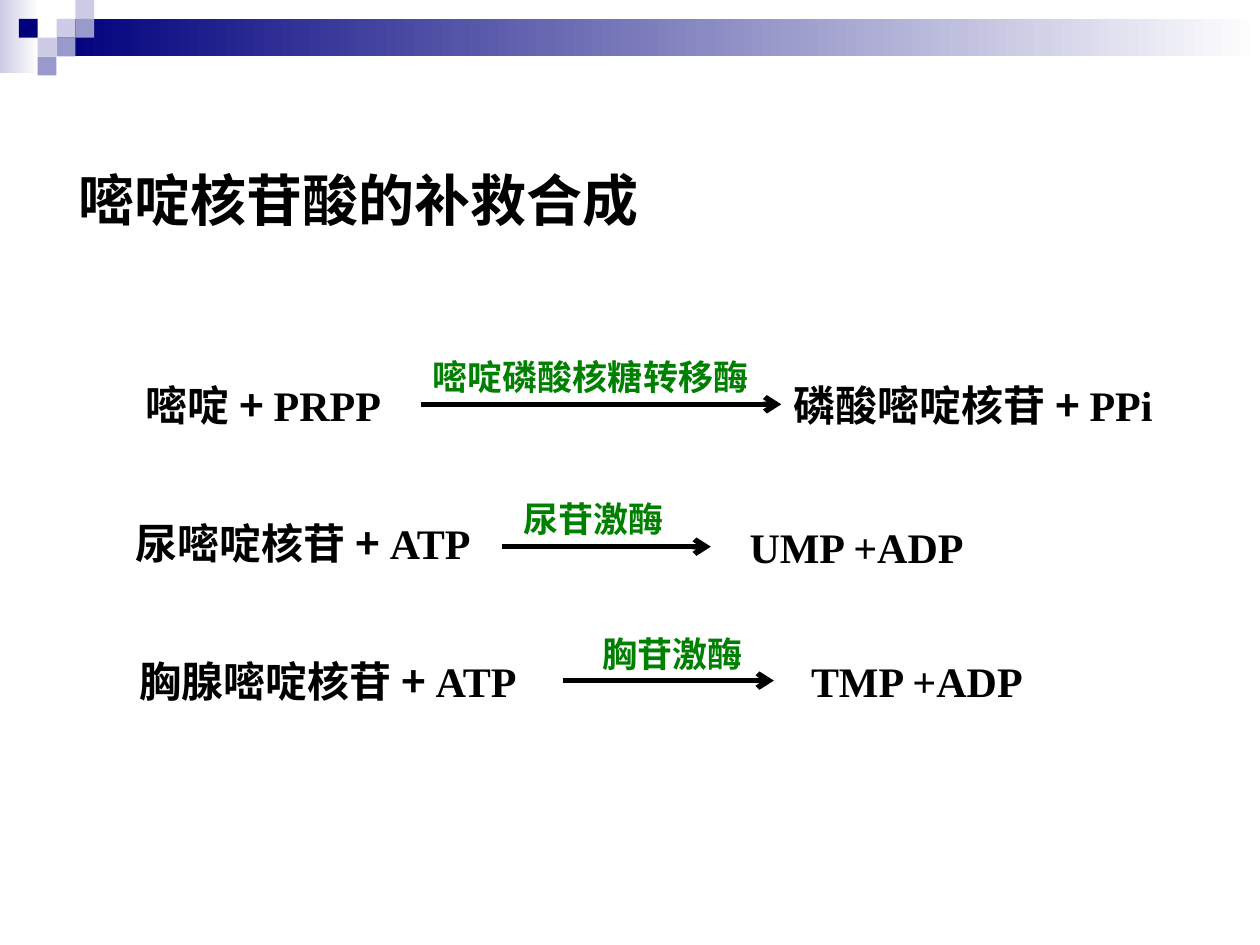
from dataclasses import dataclass

import lxml.etree
import pptx
import pptx.dml.color
import pptx.enum.shapes
import pptx.enum.text
import pptx.oxml.ns
import pptx.util

Cm = pptx.util.Cm
RGB = pptx.dml.color.RGBColor.from_string
ALIGN = pptx.enum.text.PP_ALIGN
ANCHOR = pptx.enum.text.MSO_ANCHOR
AUTO = pptx.enum.text.MSO_AUTO_SIZE
qn = pptx.oxml.ns.qn


@dataclass(frozen=True)
class Theme:
    ink: str = "000000"
    enzyme: str = "008000"
    navy: str = "00007D"
    mid: str = "9999CC"
    pale: str = "CCCCE6"
    white: str = "FFFFFF"
    title_size: int = 32
    formula_size: int = 24
    enzyme_size: int = 20
    arrow_width: int = 3
    sans: str = "Arial"
    cjk: str = "Noto Sans CJK SC"
    serif: str = "Times New Roman"


@dataclass(frozen=True)
class Label:
    left: float
    top: float
    width: float
    chinese: str = ""
    latin: str = ""


@dataclass(frozen=True)
class Reaction:
    substrate: Label
    product: Label
    enzyme: Label
    arrow_from: float
    arrow_to: float
    arrow_y: float
    enzyme_align: ALIGN = ALIGN.LEFT


@dataclass(frozen=True)
class Tile:
    column: int
    row: int
    color: str


THEME = Theme()
TILE = 0.38
TILES = (
    Tile(3, 1, THEME.pale),
    Tile(4, 0, THEME.pale),
    Tile(4, 1, THEME.mid),
    Tile(2, 2, THEME.pale),
    Tile(1, 1, THEME.navy),
    Tile(3, 2, THEME.mid),
    Tile(2, 3, THEME.mid),
)
REACTIONS = (
    Reaction(
        Label(2.69, 7.52, 7.26, "嘧啶 + ", "PRPP"),
        Label(15.75, 7.52, 8.15, "磷酸嘧啶核苷 + ", "PPi"),
        Label(7.65, 7.04, 8.51, "嘧啶磷酸核糖转移酶"),
        8.48, 15.75, 8.15, ALIGN.CENTER,
    ),
    Reaction(
        Label(2.49, 10.31, 8.61, "尿嘧啶核苷 + ", "ATP"),
        Label(14.86, 10.39, 6.25, latin="UMP +ADP"),
        Label(10.31, 9.91, 4.01, "尿苷激酶"),
        10.11, 14.33, 11.02,
    ),
    Reaction(
        Label(2.57, 13.08, 9.32, "胸腺嘧啶核苷 + ", "ATP"),
        Label(16.1, 13.08, 5.82, latin="TMP +ADP"),
        Label(11.89, 12.62, 4.65, "胸苷激酶"),
        11.35, 15.6, 13.72,
    ),
)


def add_text(p, text: str, *, size: int, font: str, color: str = THEME.ink) -> None:
    r = p.add_run()
    r.text = text
    r.font.size = pptx.util.Pt(size)
    r.font.bold = True
    r.font.name = font
    r.font.color.rgb = RGB(color)
    ea = lxml.etree.SubElement(r.font._element, qn("a:ea"))
    ea.set("typeface", THEME.cjk)


def add_label(s, label: Label, *, size: int, height: float,
              color: str = THEME.ink, align: ALIGN = ALIGN.LEFT) -> None:
    sp = s.shapes.add_textbox(Cm(label.left), Cm(label.top), Cm(label.width), Cm(height))
    tf = sp.text_frame
    tf.word_wrap = True
    tf.auto_size = AUTO.SHAPE_TO_FIT_TEXT
    p = tf.paragraphs[0]
    p.alignment = align
    for text, font in ((label.chinese, THEME.cjk), (label.latin, THEME.serif)):
        if text:
            add_text(p, text, size=size, font=font, color=color)


def add_block(s, left: float, top: float, width: float, height: float, *colors: str) -> None:
    sp = s.shapes.add_shape(pptx.enum.shapes.MSO_SHAPE.RECTANGLE,
                            Cm(left), Cm(top), Cm(width), Cm(height))
    sp.shadow.inherit = False
    sp.line.fill.background()
    if len(colors) == 1:
        sp.fill.solid()
        sp.fill.fore_color.rgb = RGB(colors[0])
        return
    sp.fill.gradient()
    sp.fill.gradient_angle = 0
    for stop, color in zip(sp.fill.gradient_stops, colors):
        stop.color.rgb = RGB(color)


def add_arrow(s, start: float, end: float, y: float) -> None:
    sp = s.shapes.add_connector(pptx.enum.shapes.MSO_CONNECTOR.STRAIGHT,
                                Cm(start), Cm(y), Cm(end), Cm(y))
    sp.line.width = pptx.util.Pt(THEME.arrow_width)
    sp.line.color.rgb = RGB(THEME.ink)
    ln = sp.line._get_or_add_ln()
    lxml.etree.SubElement(ln, qn("a:tailEnd")).set("type", "arrow")
    lxml.etree.SubElement(sp._element.spPr, qn("a:effectLst"))


def add_reaction(s, reaction: Reaction) -> None:
    for label in (reaction.substrate, reaction.product):
        add_label(s, label, size=THEME.formula_size, height=1.27)
    add_arrow(s, reaction.arrow_from, reaction.arrow_to, reaction.arrow_y)
    add_label(s, reaction.enzyme, size=THEME.enzyme_size, height=1.12,
              color=THEME.enzyme, align=reaction.enzyme_align)


def add_title(s, text: str) -> None:
    sp = s.shapes.title
    sp.left, sp.top, sp.width, sp.height = Cm(1.32), Cm(3.12), Cm(18.42), Cm(1.8)
    tf = sp.text_frame
    tf.auto_size = AUTO.NONE
    tf.vertical_anchor = ANCHOR.MIDDLE
    p = tf.paragraphs[0]
    p.alignment = ALIGN.LEFT
    add_text(p, text, size=THEME.title_size, font=THEME.sans)


def add_header(s) -> None:
    add_block(s, 0, 0, 0.79, 1.47, THEME.pale, THEME.white)
    add_block(s, 3 * TILE, TILE, 25.4 - 3 * TILE, 2 * TILE, THEME.navy, THEME.white)
    for tile in TILES:
        add_block(s, tile.column * TILE, tile.row * TILE, TILE, TILE, tile.color)


def main() -> None:
    prs = pptx.Presentation()
    prs.slide_width, prs.slide_height = Cm(25.4), Cm(19.05)
    s = prs.slides.add_slide(prs.slide_layouts.get_by_name("Title Only"))
    add_header(s)
    add_title(s, "嘧啶核苷酸的补救合成")
    for reaction in REACTIONS:
        add_reaction(s, reaction)
    prs.save("out.pptx")


if __name__ == "__main__":
    main()
